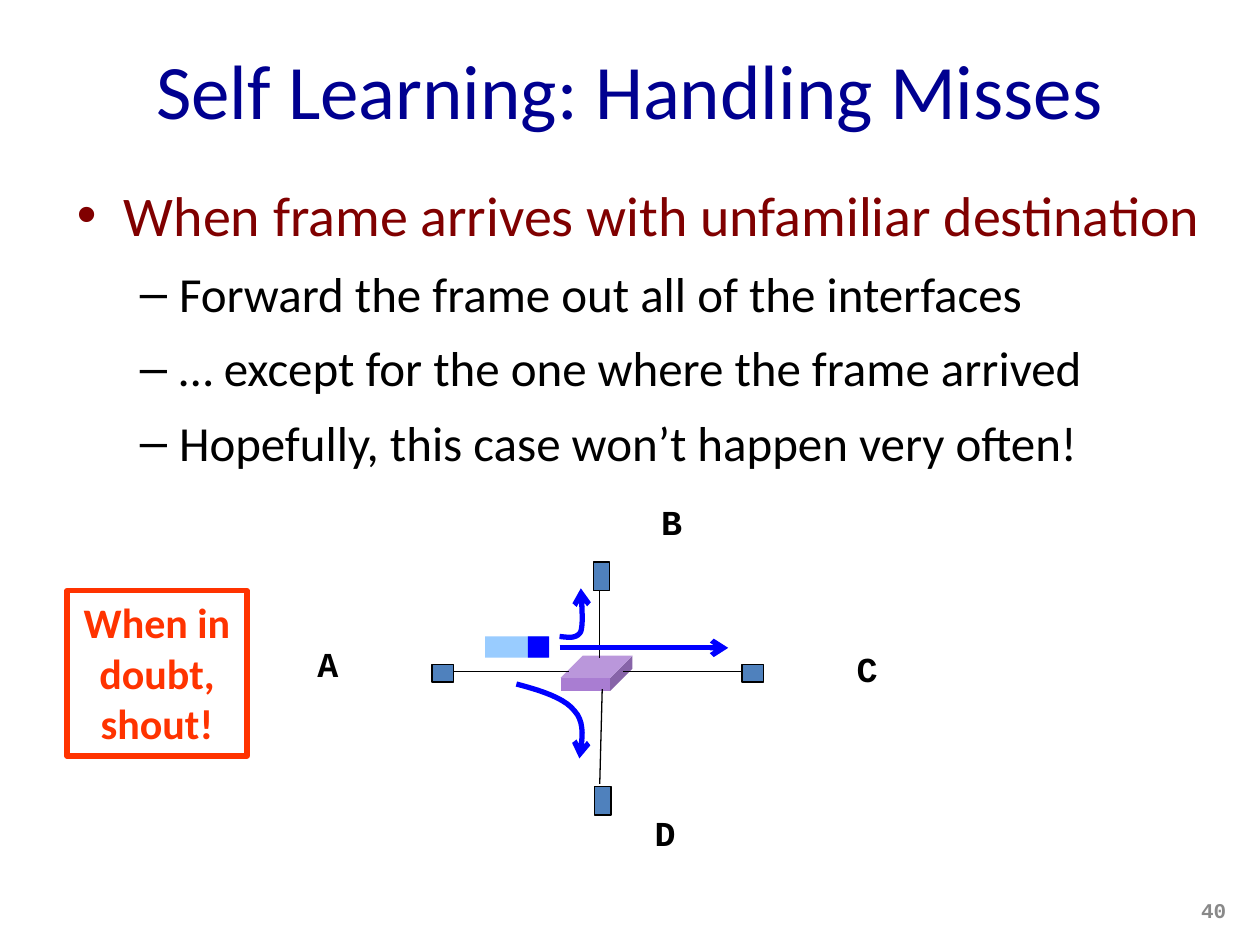
from lxml import etree
from pptx import Presentation
from pptx.dml.color import RGBColor
from pptx.enum.shapes import MSO_CONNECTOR, MSO_SHAPE
from pptx.enum.text import MSO_ANCHOR, PP_ALIGN
from pptx.oxml.ns import qn
from pptx.util import Cm, Pt

RECT, CUBE = MSO_SHAPE.RECTANGLE, MSO_SHAPE.CUBE
STRAIGHT = MSO_CONNECTOR.STRAIGHT
TOP, MIDDLE = MSO_ANCHOR.TOP, MSO_ANCHOR.MIDDLE
LEFT, CENTER, RIGHT = PP_ALIGN.LEFT, PP_ALIGN.CENTER, PP_ALIGN.RIGHT

THEME = {
    "sans": "Calibri", "mono": "Courier New",
    "title": (44, "000090"), "lead": (32, "800000"), "point": (28, "000000"),
    "label": (20, "000000"), "shout": (24, "FF3300"), "page": (12, "898989"),
    "black": "000000", "host": "4F81BD", "switch": "A97DD2",
    "data": "99CCFF", "flow": "0000FF",
}


def write(shape, lines, style, font="sans", bold=False, align=CENTER, anchor=TOP):
    size, color = THEME[style]
    frame = shape.text_frame
    frame.word_wrap = True
    frame.vertical_anchor = anchor
    frame.text = lines
    for par in frame.paragraphs:
        par.alignment = align
        for run in par.runs:
            run.font.name = THEME[font]
            run.font.size = Pt(size)
            run.font.bold = bold
            run.font.color.rgb = RGBColor.from_string(color)


def stroke(shape, color, width, arrow=False):
    shape.line.color.rgb = RGBColor.from_string(color)
    shape.line.width = Pt(width)
    if arrow:
        edge = shape.line._get_or_add_ln()
        etree.SubElement(edge, qn("a:tailEnd"), type="arrow")


deck = Presentation()
deck.slide_width, deck.slide_height = Cm(25.4), Cm(19.05)
slide = deck.slides.add_slide(deck.slide_layouts[6])
shapes = slide.shapes

title = shapes.add_textbox(Cm(1.27), Cm(0.2), Cm(22.86), Cm(3.18))
write(title, "Self Learning: Handling Misses", "title", anchor=MIDDLE)

points = [
    "When frame arrives with unfamiliar destination",
    "Forward the frame out all of the interfaces",
    "… except for the one where the frame arrived",
    "Hopefully, this case won’t happen very often!",
]
body = shapes.add_textbox(Cm(1.3), Cm(3.38), Cm(23.5), Cm(5.87))
write(body, "\n".join(points), "point", align=LEFT)
for i, par in enumerate(body.text_frame.paragraphs):
    mark, margin, hang = ("–", 2.06, 0.79) if i else ("•", 0.95, 0.95)
    par.level = min(i, 1)
    par.line_spacing = 1.1
    par.space_before = Pt(5.6 if i else 0)
    props = par._p.get_or_add_pPr()
    props.set("marL", str(Cm(margin)))
    props.set("indent", str(-Cm(hang)))
    etree.SubElement(props, qn("a:buFont"), typeface="Arial")
    etree.SubElement(props, qn("a:buChar"), char=mark)
size, color = THEME["lead"]
lead = body.text_frame.paragraphs[0].runs[0].font
lead.size, lead.color.rgb = Pt(size), RGBColor.from_string(color)

blocks = [
    (CUBE, "switch", 11.3, 13.22, 1.45, 0.71),
    (RECT, "host", 8.71, 13.39, 0.43, 0.36),
    (RECT, "host", 14.96, 13.39, 0.43, 0.36),
    (RECT, "host", 11.96, 11.33, 0.33, 0.58),
    (RECT, "host", 11.99, 15.85, 0.33, 0.58),
    (RECT, "data", 9.78, 12.83, 1.27, 0.43),
    (RECT, "flow", 10.64, 12.83, 0.43, 0.43),
]
for kind, role, *place in blocks:
    block = shapes.add_shape(kind, *map(Cm, place))
    block.shadow.inherit = False
    block.fill.solid()
    block.fill.fore_color.rgb = RGBColor.from_string(THEME[role])
    block.line.fill.background()
    if role == "host":
        stroke(block, THEME["black"], 0.75)
    if kind == CUBE:
        block.adjustments[0] = 0.63

wires = [
    ("black", 0.75, 9.14, 13.54, 11.48, 13.54),
    ("black", 0.75, 12.09, 11.91, 12.09, 13.26),
    ("black", 0.75, 14.94, 13.54, 12.55, 13.54),
    ("black", 0.75, 12.09, 15.8, 12.14, 13.89),
    ("flow", 3, 11.28, 13.06, 14.68, 13.06),
]
for role, width, *ends in wires:
    wire = shapes.add_connector(STRAIGHT, *map(Cm, ends))
    stroke(wire, THEME[role], width, role == "flow")
    etree.SubElement(wire._element.spPr, qn("a:effectLst"))

labels = [("A", 6.1, 12.83), ("B", 13.03, 9.96), ("C", 16.97, 12.93), ("D", 12.9, 16.23)]
for name, x, y in labels:
    label = shapes.add_textbox(Cm(x), Cm(y), Cm(1.02), Cm(1.09))
    write(label, name, "label", "mono", True)

shout = shapes.add_shape(RECT, Cm(1.35), Cm(11.91), Cm(3.63), Cm(3.33))
shout.shadow.inherit = False
shout.fill.background()
stroke(shout, THEME["shout"][1], 3)
write(shout, "When in doubt, shout!", "shout", bold=True)

curves = [
    [(11.28, 12.83), (11.46, 12.85), (11.63, 12.88), (11.71, 12.73),
     (11.76, 12.57), (11.73, 12.22), (11.71, 11.86)],
    [(10.41, 13.79), (10.9, 13.92), (11.38, 14.07), (11.58, 14.33),
     (11.81, 14.58), (11.73, 14.94), (11.68, 15.29)],
]
steps = 10
for knots in curves:
    trace = []
    for k in (0, 3):
        for n in range(1, steps + 1):
            t = n / steps
            parts = ((1 - t) ** 3, 3 * t * (1 - t) ** 2, 3 * t * t * (1 - t), t ** 3)
            spot = [sum(w * p[axis] for w, p in zip(parts, knots[k:k + 4])) for axis in (0, 1)]
            trace.append(tuple(map(Cm, spot)))
    pen = shapes.build_freeform(*map(Cm, knots[0]))
    pen.add_line_segments(trace, close=False)
    curve = pen.convert_to_shape()
    curve.shadow.inherit = False
    curve.fill.background()
    stroke(curve, THEME["flow"], 3, True)

page = shapes.add_textbox(Cm(19.05), Cm(17.83), Cm(5.92), Cm(1.02))
write(page, "40", "page", "mono", True, RIGHT, MIDDLE)

deck.save("out.pptx")
